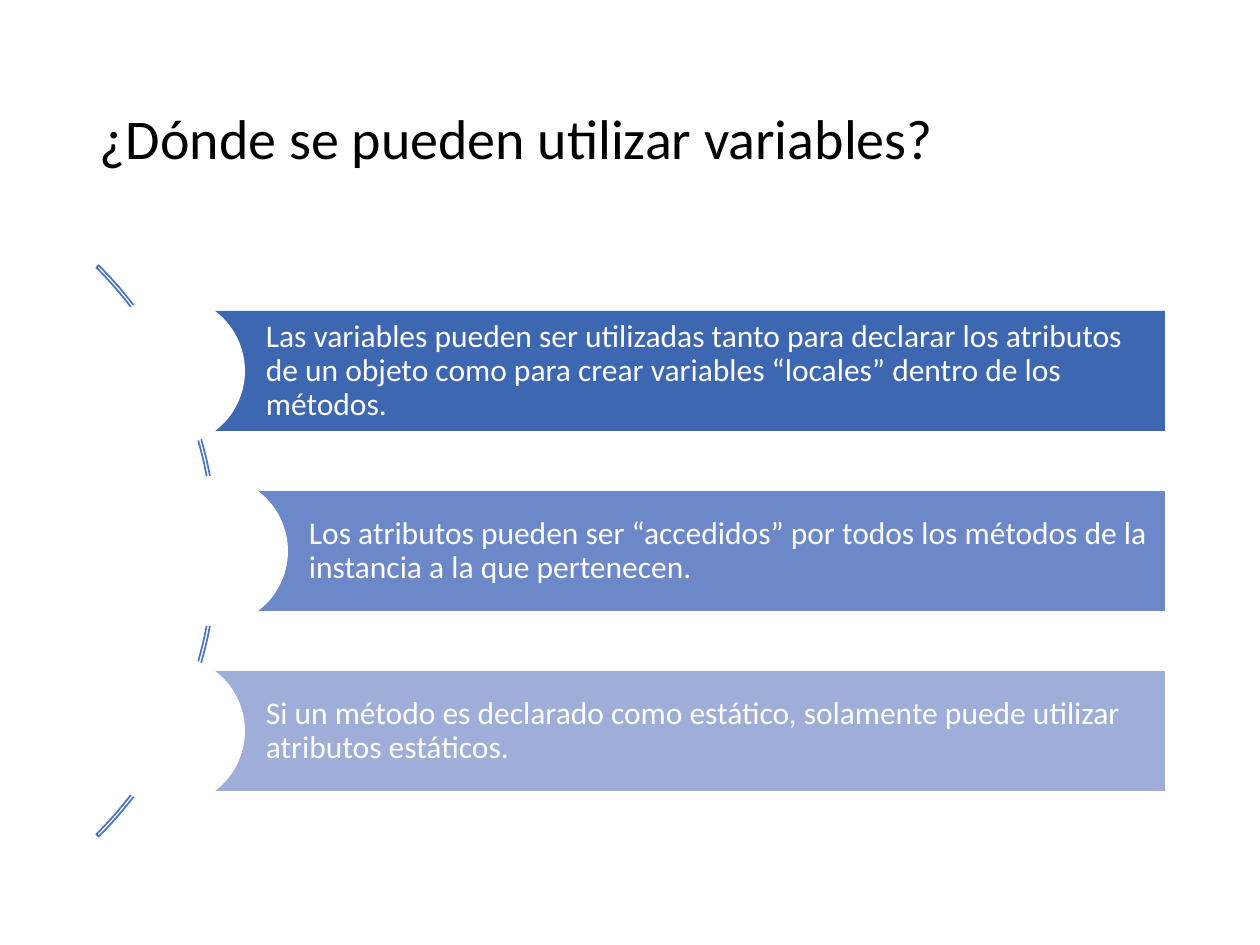
from pptx import Presentation
from pptx.dml.color import RGBColor
from pptx.enum.shapes import MSO_SHAPE
from pptx.enum.text import MSO_ANCHOR, PP_ALIGN
from pptx.util import Emu, Pt

EMU_PER_PX = 914400 / 126
COLORS = {
    "title": "000000",
    "white": "FFFFFF",
    "arc": "4A75C5",
    "dark": "3E67B2",
    "medium": "6C88C8",
    "light": "9FAED8",
}
POINTS = [
    ("Las variables pueden ser utilizadas tanto para declarar los atributos de un objeto "
     "como para crear variables “locales” dentro de los métodos.", "dark", 0),
    ("Los atributos pueden ser “accedidos” por todos los métodos de la instancia "
     "a la que pertenecen.", "medium", 43),
    ("Si un método es declarado como estático, solamente puede utilizar "
     "atributos estáticos.", "light", 0),
]


def px(length):
    """Turn pixels into EMU."""
    return Emu(round(length * EMU_PER_PX))


def color(name):
    """Look up a named colour."""
    return RGBColor.from_string(COLORS[name])


def write_text(shape, text, size, color_name, margins):
    """Write one left-aligned paragraph, vertically centred, in a shape."""
    frame = shape.text_frame
    sides = ("margin_left", "margin_top", "margin_right", "margin_bottom")
    frame_format = dict(zip(sides, map(px, margins)))
    frame_format.update(word_wrap=True, vertical_anchor=MSO_ANCHOR.MIDDLE)
    paragraph = frame.paragraphs[0]
    run = paragraph.add_run()
    run.text = text
    formats = [
        (frame, frame_format),
        (paragraph, {"alignment": PP_ALIGN.LEFT, "line_spacing": 0.9}),
        (run.font, {"name": "Calibri", "size": Pt(size)}),
    ]
    for target, values in formats:
        for name, value in values.items():
            setattr(target, name, value)
    run.font.color.rgb = color(color_name)


def add_filled_shape(slide, kind, box, fill):
    """Add a borderless shape with a solid fill."""
    shape = slide.shapes.add_shape(kind, *map(px, box))
    shape.shadow.inherit = False
    shape.fill.solid()
    shape.fill.fore_color.rgb = color(fill)
    shape.line.fill.background()
    return shape


def add_title(slide, box, text):
    """Add the slide title."""
    title = slide.shapes.add_textbox(*map(px, box))
    write_text(title, text, 32, "title", (13, 6, 13, 6))


def add_arc(slide, box):
    """Add the thin arc that links the points."""
    arc = slide.shapes.add_shape(MSO_SHAPE.BLOCK_ARC, *map(px, box))
    for index, value in enumerate((189, 27, 0.004)):
        arc.adjustments[index] = value
    arc.shadow.inherit = False
    arc.fill.background()
    arc.line.color.rgb = color("arc")
    arc.line.width = Pt(1)


def add_point(slide, box, text, fill):
    """Add a bar with its text and a circle centred on the left edge."""
    left, top, width, height = box
    bar = add_filled_shape(slide, MSO_SHAPE.RECTANGLE, box, fill)
    write_text(bar, text, 18, "white", (96, 6, 6, 6))
    diameter = height * 5 // 4
    circle = (left - diameter // 2, top - (diameter - height) // 2, diameter, diameter)
    add_filled_shape(slide, MSO_SHAPE.OVAL, circle, "white")


def add_point_list(slide, box):
    """Stack the points with gaps of half a bar."""
    left, top, width, height = box
    bar_height = height // 4
    pitch = bar_height * 3 // 2
    for index, (text, fill, indent) in enumerate(POINTS):
        bar = (left + indent, top + index * pitch, width - indent, bar_height)
        add_point(slide, bar, text, fill)


def main():
    """Build and save the slide."""
    presentation = Presentation()
    presentation.slide_width, presentation.slide_height = px(1260), px(945)
    slide = presentation.slides.add_slide(presentation.slide_layouts[6])
    add_title(slide, (87, 50, 1086, 183), "¿Dónde se pueden utilizar variables?")
    add_arc(slide, (-591, 147, 808, 808))
    add_point_list(slide, (170, 311, 995, 480))
    presentation.save("out.pptx")


if __name__ == "__main__":
    main()
